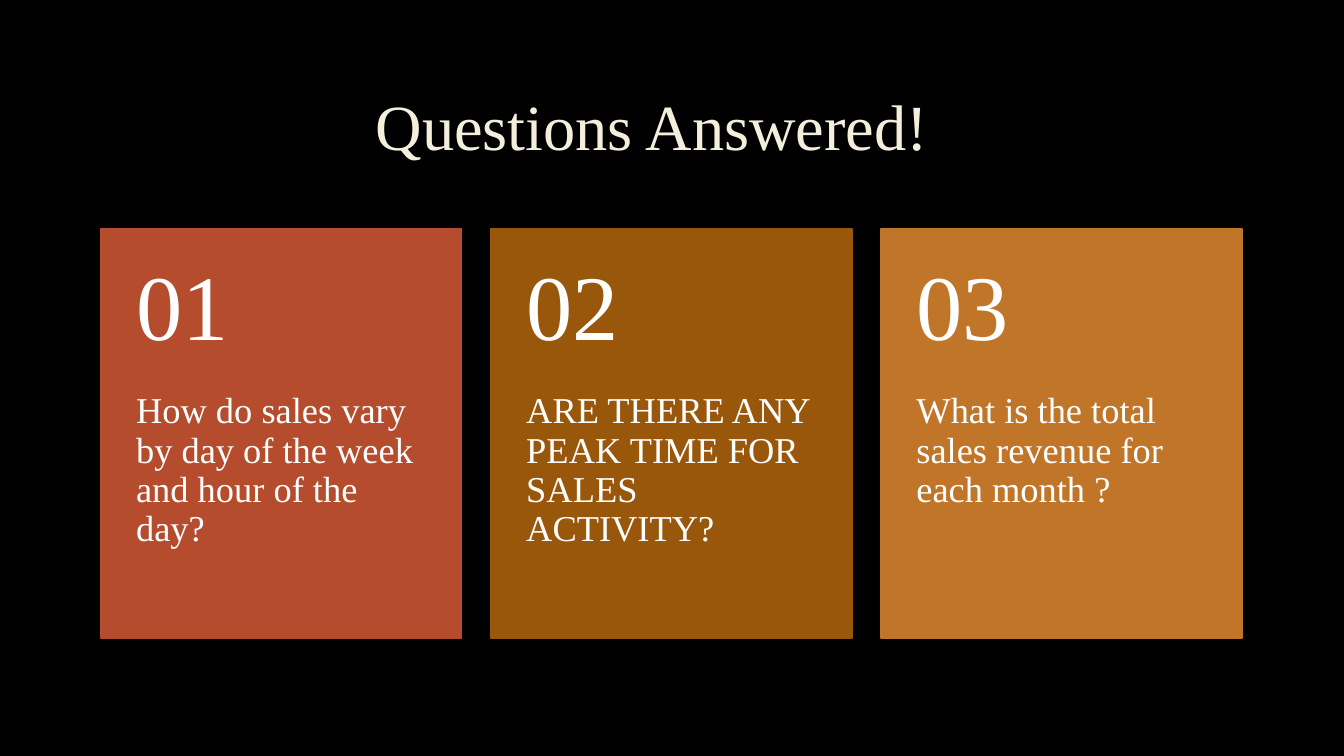
from pptx import Presentation, util as u
from pptx.dml.color import RGBColor
from pptx.enum import shapes, text as t

HUES = {"back": "000000", "title": "F4EEDC", "white": "FFFFFF",
        "rust": "B54C2D", "brown": "99570C", "amber": "C17529"}
CARDS = [("rust", "How do sales vary by day of the week and hour of the day?"),
         ("brown", "ARE THERE ANY PEAK TIME FOR SALES ACTIVITY?"),
         ("amber", "What is the total sales revenue for each month ?")]


class Deck:
    """Places elements on a grid of 100 columns by 100 rows."""
    face = "Times New Roman"

    def __init__(self):
        self.prs = Presentation()
        self.prs.slide_width, self.prs.slide_height = u.Inches(13.33), u.Inches(7.5)
        self.slide = self.prs.slides.add_slide(self.prs.slide_layouts[6])
        self.paint(self.slide.background.fill, "back")

    def paint(self, fill, hue):
        fill.solid()
        fill.fore_color.rgb = RGBColor.from_string(HUES[hue])

    def grid(self, col, row, wide, high):
        w, h = self.prs.slide_width, self.prs.slide_height
        return [int(n * side / 100) for n, side in
                ((col, w), (row, h), (wide, w), (high, h))]

    def panel(self, cell, hue):
        box = self.slide.shapes.add_shape(
            shapes.MSO_SHAPE.RECTANGLE, *self.grid(*cell))
        box.shadow.inherit = False
        self.paint(box.fill, hue)
        self.paint(box.line.fill, hue)
        box.line.width = u.Pt(1.25)

    def label(self, cell, words, size, hue="white", align=t.PP_ALIGN.LEFT,
              anchor=t.MSO_ANCHOR.MIDDLE, pads=(0.1, 0.05, 0.1, 0.05)):
        """Adds text; pads are left, top, right and bottom in inches."""
        frame = self.slide.shapes.add_textbox(*self.grid(*cell)).text_frame
        form = {"word_wrap": True, "vertical_anchor": anchor}
        for side, pad in zip(("left", "top", "right", "bottom"), pads):
            form["margin_" + side] = u.Inches(pad)
        para = frame.paragraphs[0]
        run = para.add_run()
        run.text = words
        run.font.color.rgb = RGBColor.from_string(HUES[hue])
        for part, look in ((frame, form),
                           (para, {"alignment": align, "line_spacing": 0.9}),
                           (run.font, {"name": self.face, "size": u.Pt(size)})):
            for key, val in look.items():
                setattr(part, key, val)

    def card(self, num, hue, words):
        col, top, wide, high = 7.5 + 29.03 * (num - 1), 30.27, 26.85, 54.13
        head = high * 0.4
        self.panel((col, top, wide, high), hue)
        self.label((col, top + head, wide, high - head), words, 26,
                   anchor=t.MSO_ANCHOR.TOP, pads=(0.35, 0, 0.35, 0.36))
        self.label((col, top, wide, head), f"{num:02}", 66,
                   pads=(0.35, 0.18, 0.35, 0.18))


def main():
    deck = Deck()
    deck.label((6.05, 8, 84.9, 18.4), "Questions Answered!", 46, "title",
               t.PP_ALIGN.CENTER)
    for num, (hue, words) in enumerate(CARDS, 1):
        deck.card(num, hue, words)
    deck.prs.save("out.pptx")


if __name__ == "__main__":
    main()
